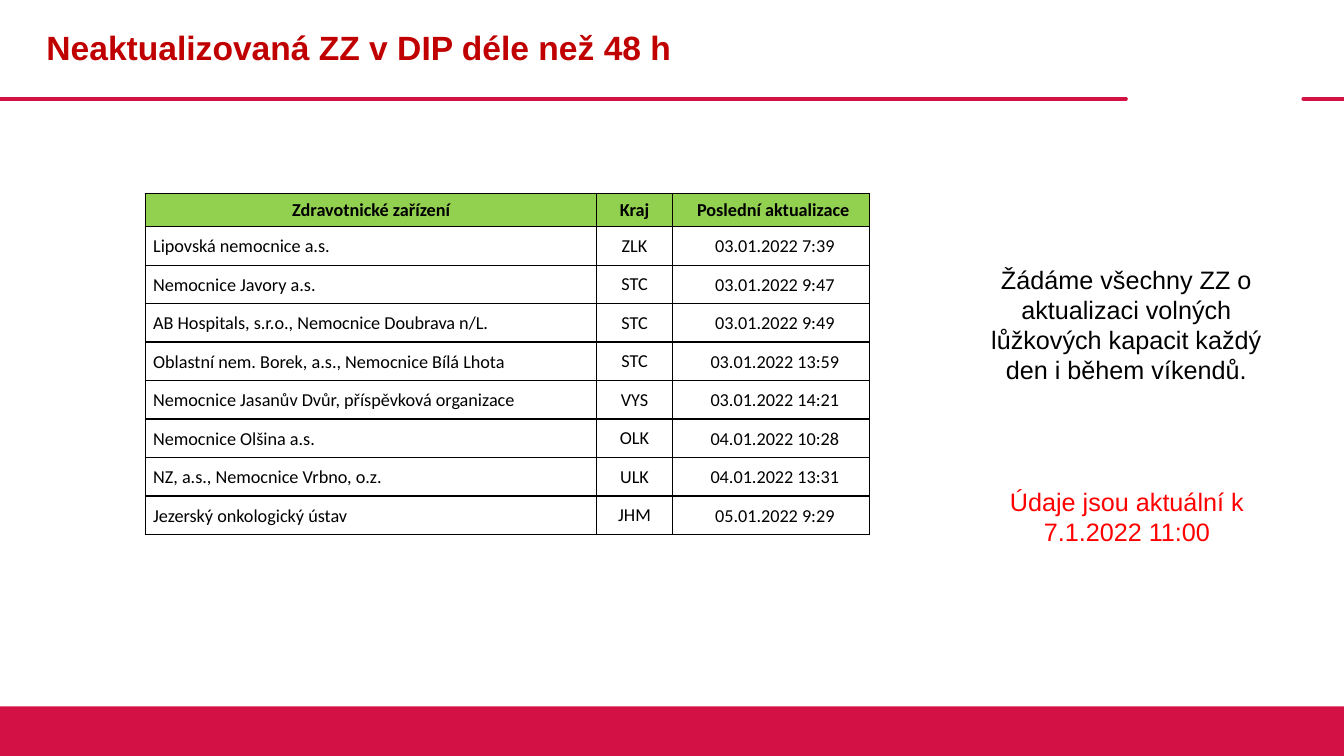
from lxml.etree import SubElement
from pptx import Presentation
from pptx.dml.color import RGBColor
from pptx.enum.shapes import MSO_CONNECTOR, MSO_SHAPE
from pptx.enum.text import MSO_ANCHOR, PP_ALIGN
from pptx.oxml.ns import qn
from pptx.util import Cm, Pt

CRIMSON = RGBColor(0xD3, 0x11, 0x45)
DARK_RED = RGBColor(0xC0, 0x00, 0x00)
RED = RGBColor(0xFF, 0x00, 0x00)
GREEN = RGBColor(0x92, 0xD0, 0x50)
BLACK = RGBColor(0x00, 0x00, 0x00)
WHITE = RGBColor(0xFF, 0xFF, 0xFF)

SLIDE_WIDTH, SLIDE_HEIGHT = 33.87, 19.05
HEADER = ("Zdravotnické zařízení", "Kraj", "Poslední aktualizace")
FACILITIES = [
    ("Lipovská nemocnice a.s.", "ZLK", "03.01.2022 7:39"),
    ("Nemocnice Javory a.s.", "STC", "03.01.2022 9:47"),
    ("AB Hospitals, s.r.o., Nemocnice Doubrava n/L.", "STC", "03.01.2022 9:49"),
    ("Oblastní nem. Borek, a.s., Nemocnice Bílá Lhota", "STC", "03.01.2022 13:59"),
    ("Nemocnice Jasanův Dvůr, příspěvková organizace", "VYS", "03.01.2022 14:21"),
    ("Nemocnice Olšina a.s.", "OLK", "04.01.2022 10:28"),
    ("NZ, a.s., Nemocnice Vrbno, o.z.", "ULK", "04.01.2022 13:31"),
    ("Jezerský onkologický ústav", "JHM", "05.01.2022 9:29"),
]
COLUMN_WIDTHS = (11.38, 1.9, 4.97)
HEADER_HEIGHT, ROW_HEIGHT = 0.83, 0.97

# Cell margins per column: left, top, right, bottom
HEADER_MARGINS = ((0.03, 0.03, 0.03, 0), (0.03, 0.03, 0.03, 0), (0.15, 0.03, 0.03, 0))
BODY_MARGINS = ((0.2, 0.03, 0.03, 0), (0.03, 0.2, 0.03, 0.2), (0.23, 0.03, 0.03, 0))


def write_text(text_frame, text, font_name, size, color, bold=False, align=PP_ALIGN.CENTER):
    paragraph = text_frame.paragraphs[0]
    paragraph.alignment = align
    run = paragraph.add_run()
    run.text = text
    run.font.name = font_name
    run.font.size = Pt(size)
    run.font.bold = bold
    run.font.color.rgb = color
    return paragraph


def add_text(slide, left, top, width, height, text, size, color, **style):
    box = slide.shapes.add_textbox(Cm(left), Cm(top), Cm(width), Cm(height))
    box.text_frame.word_wrap = True
    paragraph = write_text(box.text_frame, text, "Arial", size, color, **style)
    return box.text_frame, paragraph


def add_rule(slide, start, end, y):
    rule = slide.shapes.add_connector(
        MSO_CONNECTOR.STRAIGHT, Cm(start), Cm(y), Cm(end), Cm(y))
    rule.line.color.rgb = CRIMSON
    rule.line.width = Pt(3)
    properties = rule._element.spPr
    properties.find(qn("a:ln")).set("cap", "rnd")
    SubElement(properties, qn("a:effectLst"))


def add_footer_band(slide):
    top = 17.8
    band = slide.shapes.add_shape(
        MSO_SHAPE.RECTANGLE, 0, Cm(top), Cm(SLIDE_WIDTH), Cm(SLIDE_HEIGHT - top))
    band.shadow.inherit = False
    band.fill.solid()
    band.fill.fore_color.rgb = CRIMSON
    band.line.fill.background()


def add_borders(cell):
    properties = cell._tc.get_or_add_tcPr()
    for side in ("lnL", "lnR", "lnT", "lnB"):
        border = SubElement(properties, qn(f"a:{side}"), w=str(Pt(1)))
        fill = SubElement(border, qn("a:solidFill"))
        SubElement(fill, qn("a:srgbClr"), val=str(BLACK))


def fill_cell(cell, text, margins, fill, bold, align):
    add_borders(cell)
    cell.fill.solid()
    cell.fill.fore_color.rgb = fill
    cell.vertical_anchor = MSO_ANCHOR.MIDDLE
    (cell.margin_left, cell.margin_top,
     cell.margin_right, cell.margin_bottom) = map(Cm, margins)
    write_text(cell.text_frame, text, "Calibri", 13, BLACK, bold, align)


def add_facility_table(slide):
    height = HEADER_HEIGHT + ROW_HEIGHT * len(FACILITIES)
    table = slide.shapes.add_table(
        len(FACILITIES) + 1, len(HEADER),
        Cm(3.66), Cm(4.88), Cm(sum(COLUMN_WIDTHS)), Cm(height)).table
    table.horz_banding = False
    for column, width in zip(table.columns, COLUMN_WIDTHS):
        column.width = Cm(width)
    for row_index, values in enumerate([HEADER] + FACILITIES):
        is_header = row_index == 0
        table.rows[row_index].height = Cm(HEADER_HEIGHT if is_header else ROW_HEIGHT)
        margins = HEADER_MARGINS if is_header else BODY_MARGINS
        for column_index, text in enumerate(values):
            is_name = column_index == 0 and not is_header
            fill_cell(table.cell(row_index, column_index), text, margins[column_index],
                      GREEN if is_header else WHITE, is_header,
                      PP_ALIGN.LEFT if is_name else PP_ALIGN.CENTER)


def main():
    presentation = Presentation()
    presentation.slide_width = Cm(SLIDE_WIDTH)
    presentation.slide_height = Cm(SLIDE_HEIGHT)
    slide = presentation.slides.add_slide(presentation.slide_layouts[6])

    # Frame: broken rule under the title and footer band
    add_rule(slide, 0, 28.37, 2.49)
    add_rule(slide, 32.85, SLIDE_WIDTH, 2.49)
    add_footer_band(slide)

    # Title
    title_frame, title = add_text(
        slide, 0.92, 0, 27.46, 2.49, "Neaktualizovaná ZZ v DIP déle než 48 h",
        24, DARK_RED, bold=True, align=PP_ALIGN.LEFT)
    title_frame.vertical_anchor = MSO_ANCHOR.MIDDLE
    title.line_spacing = 0.9

    # Table of facilities
    add_facility_table(slide)

    # Notices beside the table
    add_text(slide, 24.59, 6.53, 7.59, 3.33,
             "Žádáme všechny ZZ o aktualizaci volných lůžkových kapacit "
             "každý den i během víkendů.", 18, BLACK)
    add_text(slide, 24.74, 12.12, 7.32, 1.8,
             "Údaje jsou aktuální k 7.1.2022 11:00", 18, RED)

    presentation.save("out.pptx")


if __name__ == "__main__":
    main()
